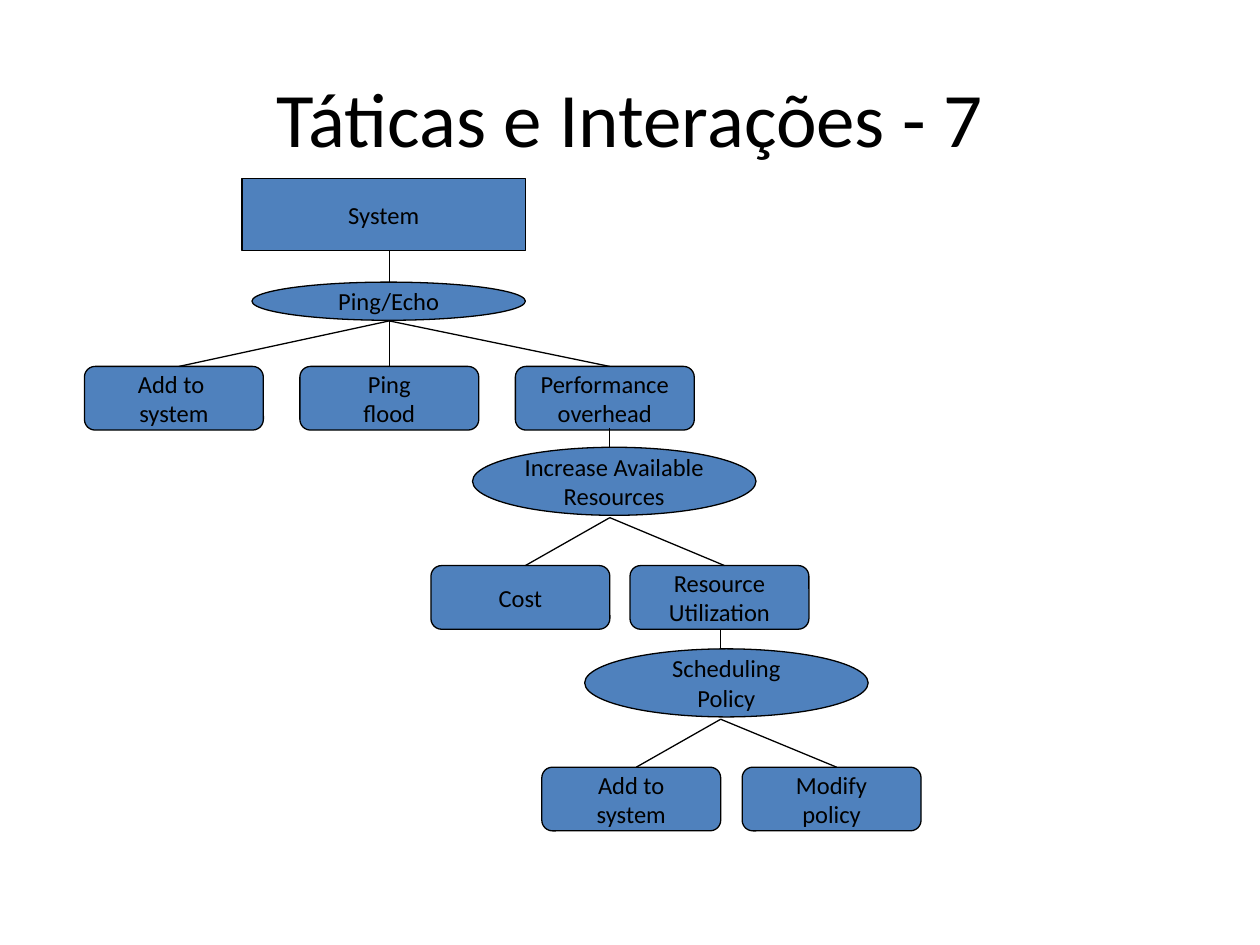
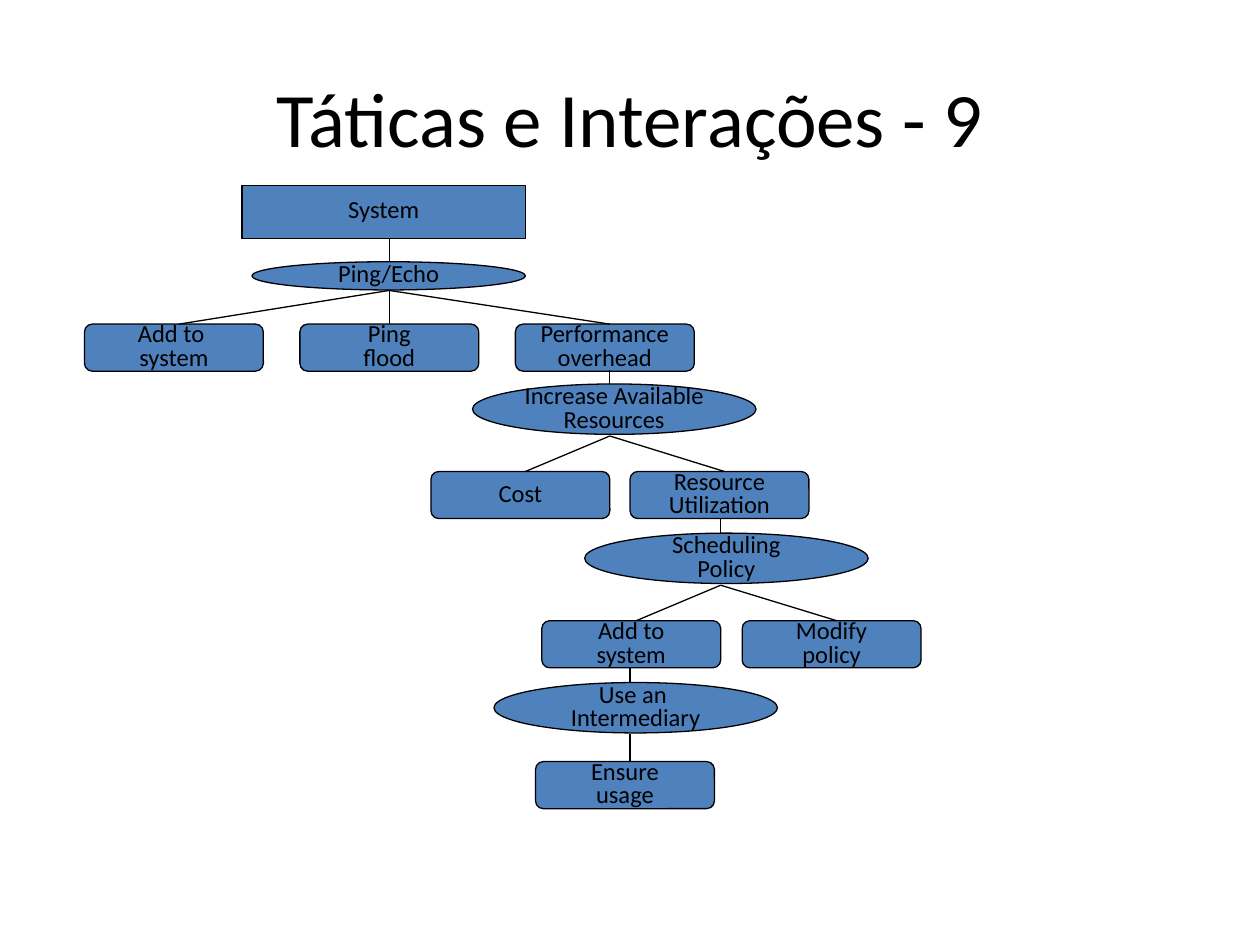
from pptx import Presentation
from pptx.dml.color import RGBColor
from pptx.enum import shapes, text
from pptx.oxml import parse_xml
from pptx.oxml.ns import nsdecls
from pptx.util import Pt

BLUE = RGBColor(0x4F, 0x81, 0xBD)
BLACK = RGBColor(0, 0, 0)
FONT = "Calibri"
LINE_WIDTH = 0.75

SYSTEM_BOX = (138.24, 0, 162, 41)
EFFECT_WIDTH, EFFECT_HEIGHT = 102.24, 36.4
EFFECT_JOIN = 54

STAGES = [
    {"tactic": "Ping/Echo", "oval": (144, 59, 156.24, 21.8),
     "hub": 222.48, "stem": 41, "fork": 81.2, "effects_top": 107.2,
     "effects": [("Add to \nsystem", 48.24), ("Ping\nflood", 171.36),
                 ("Performance\noverhead", 294.48)]},
    {"tactic": "Increase Available\nResources", "oval": (270, 153.4, 162, 38.9),
     "hub": 348.48, "stem": 142.6, "fork": 193.6, "effects_top": 221,
     "effects": [("Cost", 246.24), ("Resource\nUtilization", 360)]},
    {"tactic": "Scheduling\nPolicy", "oval": (334.08, 268.6, 162, 38.9),
     "hub": 411.84, "stem": 257.6, "fork": 308.8, "effects_top": 336.2,
     "effects": [("Add to\nsystem", 309.6), ("Modify\npolicy", 424.08)]},
    {"tactic": "Use an \nIntermediary", "oval": (282.24, 384, 162, 38.9),
     "hub": 360, "stem": 372.6, "fork": 423.6, "effects_top": 445,
     "effects": [("Ensure\nusage", 306)]},
]

SLIDES = [
    {"title": "Táticas e Interações - 7", "stages": STAGES[:3],
     "top": 102.2, "scale": 1, "spacing": 1},
    {"title": "Táticas e Interações - 9", "stages": STAGES,
     "top": 105.9, "scale": 0.74, "spacing": 0.8},
]


def write(shape, content, size=14, spacing=1, wrap=False):
    frame = shape.text_frame
    frame.text = content
    frame.word_wrap = wrap
    frame.vertical_anchor = text.MSO_ANCHOR.MIDDLE
    for paragraph in frame.paragraphs:
        paragraph.alignment = text.PP_ALIGN.CENTER
        paragraph.line_spacing = spacing
        font = paragraph.runs[0].font
        font.name, font.size = FONT, Pt(size)
        font.color.rgb = BLACK


def place(shape, left, top, width, height):
    shape.left, shape.top = Pt(left), Pt(top)
    shape.width, shape.height = Pt(width), Pt(height)


def outline(shape):
    shape.line.color.rgb = BLACK
    shape.line.width = Pt(LINE_WIDTH)


def add_node(slide, kind, content, box, spacing):
    shape = slide.shapes.add_shape(kind, *[Pt(value) for value in box])
    shape.shadow.inherit = False
    shape.fill.solid()
    shape.fill.fore_color.rgb = BLUE
    outline(shape)
    write(shape, content, spacing=spacing)
    return shape


def add_line(slide, *ends):
    connector = slide.shapes.add_connector(
        shapes.MSO_CONNECTOR.STRAIGHT, *[Pt(value) for value in ends])
    outline(connector)
    connector._element.spPr.append(parse_xml(f"<a:effectLst {nsdecls('a')}/>"))
    return connector


def draw_tree(slide, stages, top, scale, spacing):
    kinds = shapes.MSO_SHAPE

    def down(offset):
        return top + offset * scale

    def scaled(left, offset, width, height):
        return left, down(offset), width, height * scale

    add_node(slide, kinds.RECTANGLE, "System", scaled(*SYSTEM_BOX), spacing)
    for stage in stages:
        hub, oval = stage["hub"], stage["oval"]
        add_line(slide, hub, down(stage["stem"]), hub, down(oval[1] + oval[3] / 2))
        add_node(slide, kinds.OVAL, stage["tactic"], scaled(*oval), spacing)
        for content, left in stage["effects"]:
            box = scaled(left, stage["effects_top"], EFFECT_WIDTH, EFFECT_HEIGHT)
            effect = add_node(slide, kinds.ROUNDED_RECTANGLE, content, box, spacing)
            centred = abs(left + EFFECT_WIDTH / 2 - hub) < 1
            join = hub if centred else left + EFFECT_JOIN
            branch = add_line(slide, hub, down(stage["fork"]), join, box[1])
            if centred:
                branch.end_connect(effect, 0)


def main():
    presentation = Presentation()
    presentation.slide_width, presentation.slide_height = Pt(720), Pt(540)
    for content in SLIDES:
        slide = presentation.slides.add_slide(presentation.slide_layouts[5])
        place(slide.shapes.title, 36, 21.6, 648, 90)
        write(slide.shapes.title, content["title"], size=44, wrap=True)
        draw_tree(slide, content["stages"], content["top"],
                  content["scale"], content["spacing"])
    presentation.save("out.pptx")


if __name__ == "__main__":
    main()
